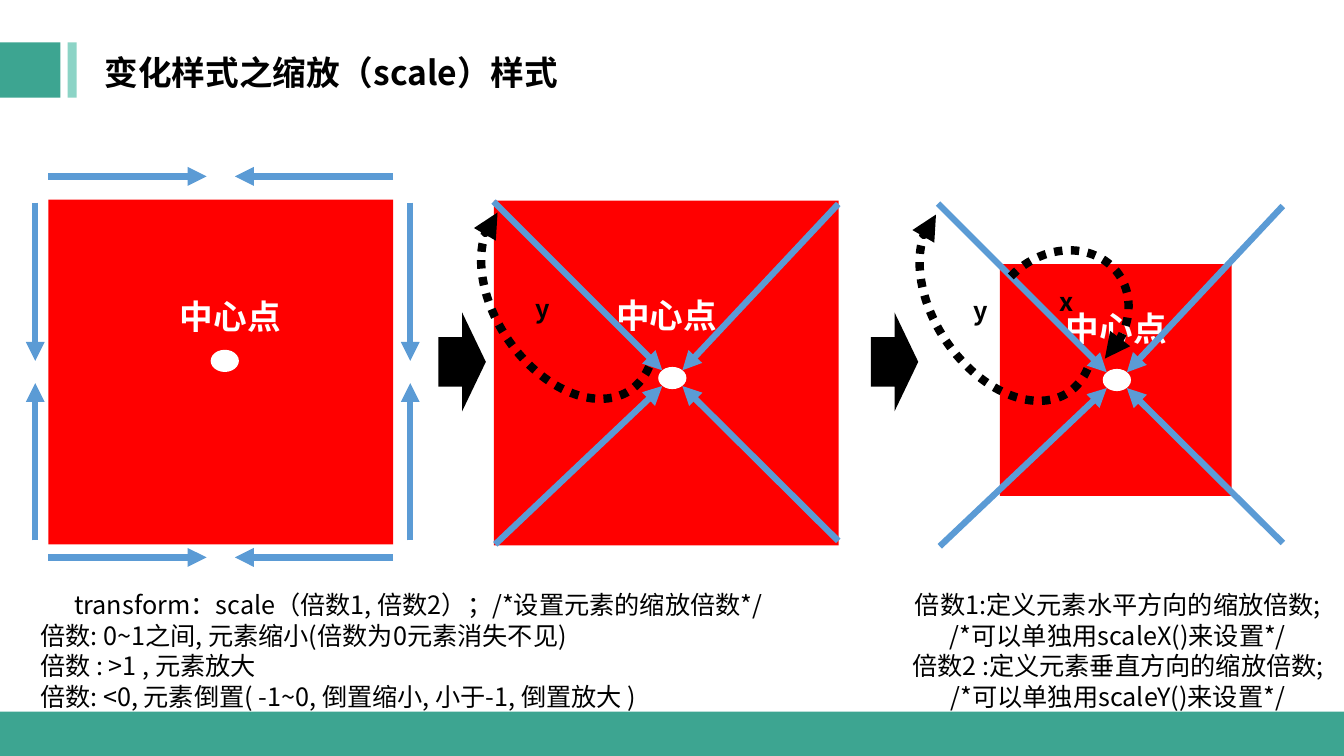
from dataclasses import dataclass

from lxml import etree
from pptx import Presentation
from pptx.dml.color import RGBColor
from pptx.enum.dml import MSO_LINE
from pptx.enum.shapes import MSO_CONNECTOR, MSO_SHAPE
from pptx.enum.text import MSO_ANCHOR, PP_ALIGN
from pptx.oxml.ns import qn
from pptx.util import Emu, Inches, Pt

RECT, OVAL = MSO_SHAPE.RECTANGLE, MSO_SHAPE.OVAL
BLOCK_ARROW, ARC = MSO_SHAPE.RIGHT_ARROW, MSO_SHAPE.ARC
STRAIGHT, DOTTED = MSO_CONNECTOR.STRAIGHT, MSO_LINE.ROUND_DOT
LEFT, CENTER = PP_ALIGN.LEFT, PP_ALIGN.CENTER
TOP, MIDDLE = MSO_ANCHOR.TOP, MSO_ANCHOR.MIDDLE

COLS, ROWS = 40, 22.5
GREEN, MINT, RED, BLUE = "3DA591", "8CD4C6", "FF0000", "5B9BD5"
BLACK, WHITE = "000000", "FFFFFF"
SANS, LATIN = "Noto Sans CJK SC", "Calibri"

prs = Presentation()
prs.slide_width, prs.slide_height = Inches(13.333), Inches(7.5)
slide = prs.slides.add_slide(prs.slide_layouts[6])


@dataclass
class Box:
    """Place and size in grid columns and rows."""
    x: float
    y: float
    w: float
    h: float


@dataclass
class Panel:
    square: Box
    dot: Box
    label: Box
    diagonals: bool


@dataclass
class Swirl:
    """A dotted turning arrow with the letter of its axis."""
    arc: Box
    rotation: float
    end: float
    letter: str
    letter_box: Box


def col(n: float) -> Emu:
    return Emu(round(prs.slide_width * n / COLS))


def row(n: float) -> Emu:
    return Emu(round(prs.slide_height * n / ROWS))


def place(b: Box) -> tuple:
    return col(b.x), row(b.y), col(b.w), row(b.h)


def rgb(color: str) -> RGBColor:
    return RGBColor.from_string(color)


def add_solid(kind: int, box: Box, color: str):
    s = slide.shapes.add_shape(kind, *place(box))
    s.shadow.inherit = False
    s.fill.solid()
    s.fill.fore_color.rgb = rgb(color)
    s.line.fill.background()
    return s


def add_head(line) -> None:
    ln = line.get_or_add_ln() if hasattr(line, "get_or_add_ln") else line._get_or_add_ln()
    etree.SubElement(ln, qn("a:tailEnd"), type="triangle")


def add_arrow(x1: float, y1: float, x2: float, y2: float) -> None:
    c = slide.shapes.add_connector(STRAIGHT, col(x1), row(y1), col(x2), row(y2))
    c.line.color.rgb = rgb(BLUE)
    c.line.width = Pt(4.5)
    add_head(c.line)
    etree.SubElement(c._element.spPr, qn("a:effectLst"))


def add_text(box: Box, *lines: str, size: float = 18, font: str = SANS,
             color: str = BLACK, bold: bool = False, aligns: tuple = (LEFT,),
             anchor: int = TOP, wrap: bool = True, spacing: float = 0) -> None:
    """Write one paragraph per line; the last alignment serves all that follow."""
    tf = slide.shapes.add_textbox(*place(box)).text_frame
    tf.word_wrap, tf.vertical_anchor = wrap, anchor
    for i, line in enumerate(lines):
        p = tf.paragraphs[0] if i == 0 else tf.add_paragraph()
        p.alignment = aligns[min(i, len(aligns) - 1)]
        if spacing:
            p.line_spacing = Pt(spacing)
        r = p.add_run()
        r.text = line
        r.font.size, r.font.bold, r.font.name = Pt(size), bold, font
        r.font.color.rgb = rgb(color)
        etree.SubElement(r._r.get_or_add_rPr(), qn("a:ea"), typeface=font)


def add_panel(panel: Panel) -> None:
    add_solid(RECT, panel.square, RED)
    add_solid(OVAL, panel.dot, WHITE)
    add_text(panel.label, "中心点", size=24, font=LATIN, color=WHITE, bold=True,
             aligns=(CENTER,))
    if panel.diagonals:
        x, y = panel.dot.x, panel.dot.y
        for dx, dy in ((5.36, -4.85), (-4.85, 5.28), (5.36, 5.18), (-4.9, -4.92)):
            add_arrow(x + dx, y + dy, x + (0.72 if dx > 0 else 0.12),
                      y + (0.57 if dy > 0 else 0.1))


def add_swirl(swirl: Swirl) -> None:
    s = slide.shapes.add_shape(ARC, *place(swirl.arc))
    s.shadow.inherit = False
    s.fill.background()
    s.rotation = swirl.rotation
    s.adjustments[0], s.adjustments[1] = 152.64, swirl.end
    s.line.color.rgb = rgb(BLACK)
    s.line.width = Pt(6)
    s.line.dash_style = DOTTED
    add_head(s.line)
    add_text(swirl.letter_box, swirl.letter, bold=True, wrap=False, spacing=21.7)


def add_squeeze_arrows() -> None:
    """Arrows along the four sides of the first square, meeting mid-side."""
    for y in (5.25, 16.59):
        add_arrow(1.44, y, 6.15, y)
        add_arrow(11.7, y, 6.99, y)
    for x in (1.05, 12.21):
        add_arrow(x, 16.08, x, 11.4)
        add_arrow(x, 6.03, x, 10.74)


PANELS = (
    Panel(Box(1.44, 5.94, 10.26, 10.26), Box(6.27, 10.41, 0.84, 0.66),
          Box(4.56, 8.67, 4.59, 1.17), False),
    Panel(Box(14.7, 5.97, 10.26, 10.26), Box(19.59, 10.92, 0.84, 0.66),
          Box(17.55, 8.64, 4.59, 1.17), True),
    Panel(Box(29.76, 7.86, 6.9, 6.9), Box(32.82, 10.98, 0.84, 0.66),
          Box(30.93, 9.03, 4.59, 1.17), True),
)
SWIRLS = (
    Swirl(Box(29.37, 7.56, 4.32, 3.69), 324.8, 46.98, "x", Box(31.23, 8.37, 1.08, 1.2)),
    Swirl(Box(27.78, 5.61, 4.35, 6.63), 146, 50.67, "y", Box(28.68, 8.64, 1.08, 1.2)),
    Swirl(Box(14.73, 5.55, 4.35, 6.63), 146, 50.67, "y", Box(15.63, 8.58, 1.08, 1.2)),
)


def main() -> None:
    add_solid(RECT, Box(0, 1.26, 1.8, 1.65), GREEN)
    add_solid(RECT, Box(2.01, 1.26, 0.27, 1.65), MINT)
    add_text(Box(2.82, 1.41, 21.33, 1.5), "变化样式之缩放（scale）样式",
             size=24, bold=True, anchor=MIDDLE)
    add_solid(RECT, Box(0, 21.18, COLS, 1.32), GREEN)
    for panel in PANELS:
        add_panel(panel)
    add_squeeze_arrows()
    for x in (13.05, 25.92):
        add_solid(BLOCK_ARROW, Box(x, 9.3, 1.41, 2.94), BLACK)
    for swirl in SWIRLS:
        add_swirl(swirl)
    add_text(Box(0.9, 17.4, 23.1, 3.93),
             "transform：scale（倍数1, 倍数2）；/*设置元素的缩放倍数*/",
             "倍数: 0~1之间, 元素缩小(倍数为0元素消失不见)",
             "倍数 : >1 , 元素放大",
             "倍数: <0, 元素倒置( -1~0, 倒置缩小, 小于-1, 倒置放大 )",
             aligns=(CENTER, LEFT), spacing=21.7)
    add_text(Box(26.55, 17.4, 13.44, 3.93),
             "倍数1:定义元素水平方向的缩放倍数;", "/*可以单独用scaleX()来设置*/",
             "倍数2 :定义元素垂直方向的缩放倍数;", "/*可以单独用scaleY()来设置*/",
             aligns=(CENTER,), spacing=21.7)
    prs.save("out.pptx")


if __name__ == "__main__":
    main()
